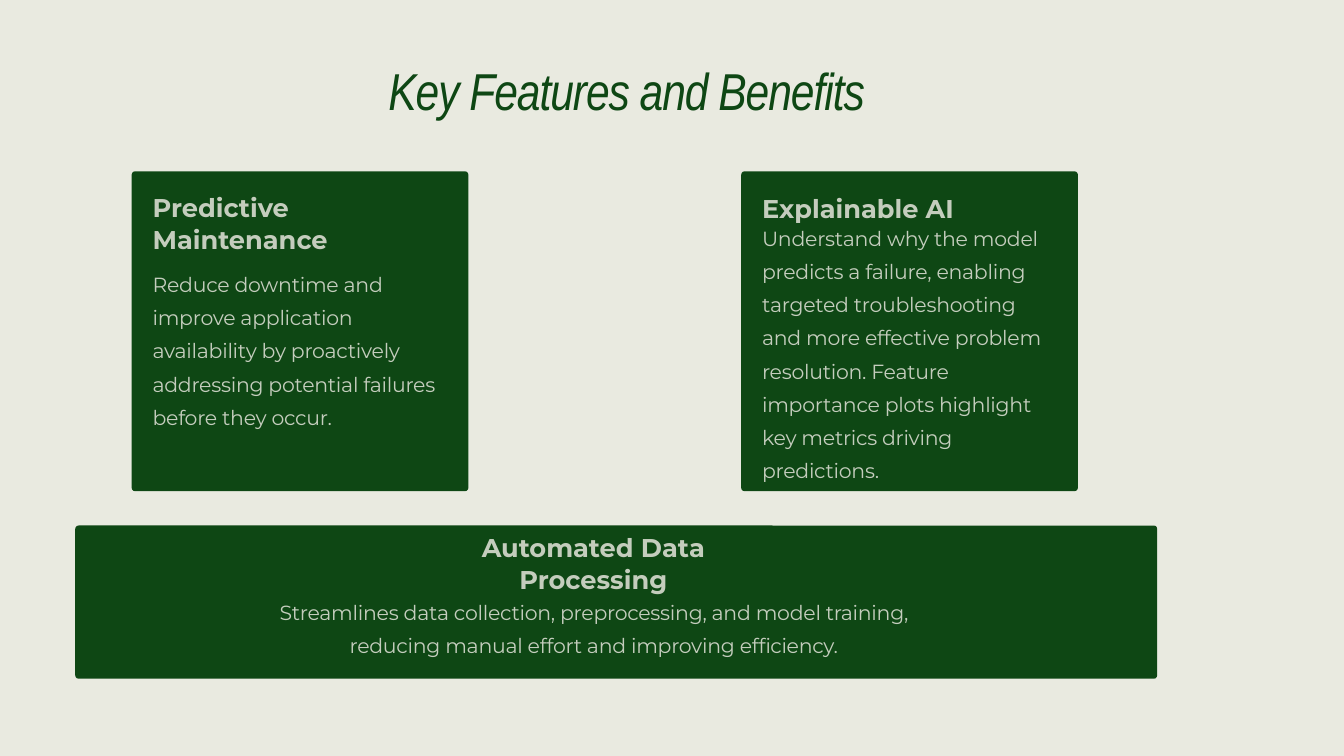
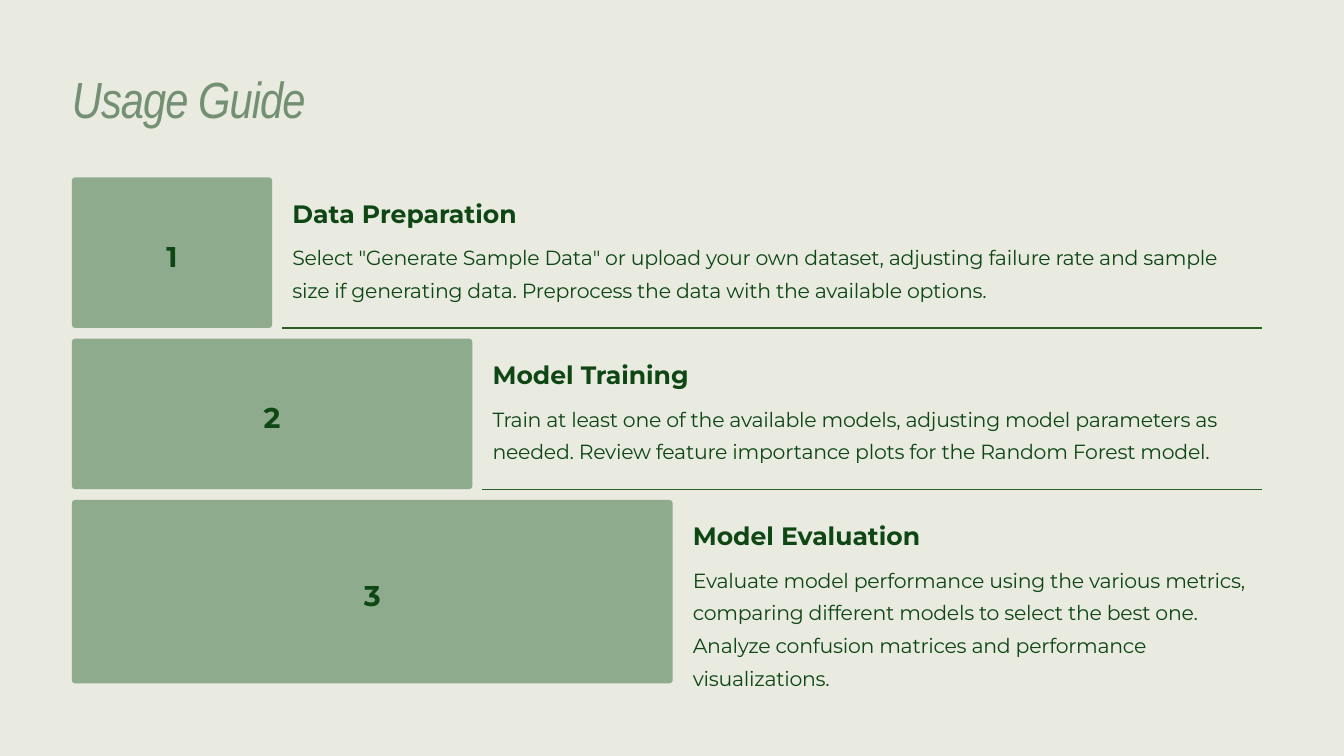
from pptx import Presentation
from pptx import util as u
from pptx.dml.color import RGBColor
from pptx.enum import shapes, text
from pptx.oxml.ns import qn
from lxml import etree

# Shared look
WIDTH, HEIGHT = 20, 11.25
CREAM = RGBColor(0xE9, 0xEA, 0xE0)
FOREST = RGBColor(0x0E, 0x47, 0x14)
PALE = RGBColor(0xC4, 0xCD, 0xBD)
SAGE = RGBColor(0x8E, 0xAB, 0x8D)
MOSS = RGBColor(0x74, 0x90, 0x73)
RULE = RGBColor(0x2A, 0x5F, 0x2A)
LEFT, CENTER = text.PP_ALIGN.LEFT, text.PP_ALIGN.CENTER
CORNER = 0.05

# Text styles: font, size, line spacing, bold, italic, letter spacing (1/100 pt)
STYLES = {
    "features title": ("Arial Narrow", 55.6, 69.4, False, True, -110),
    "guide title": ("Arial Narrow", 54.4, 68.1, False, True, -100),
    "card heading": ("Montserrat", 27.5, 34.4, True, False, 0),
    "card body": ("Montserrat", 21.9, 35.6, False, False, -30),
    "step number": ("Montserrat", 30.6, 48.7, True, False, 0),
    "step heading": ("Montserrat", 26.9, 33.7, True, False, 0),
    "step body": ("Montserrat", 21.9, 35, False, False, -30),
}

# Features: card box, then (text, box) for heading and body, and alignment
FEATURES = [
    ((1.96, 2.55, 5.01, 4.76),
     ("Predictive Maintenance", (2.27, 2.83, 4.39, 1.07)),
     ("Reduce downtime and improve application availability by proactively "
      "addressing potential failures before they occur.",
      (2.27, 3.92, 4.39, 2.56)), LEFT),
    ((11.03, 2.55, 5.01, 4.76),
     ("Explainable AI", (11.34, 2.85, 3.88, 0.6)),
     ("Understand why the model predicts a failure, enabling targeted "
      "troubleshooting and more effective problem resolution. Feature "
      "importance plots highlight key metrics driving predictions.",
      (11.34, 3.23, 4.39, 3.97)), LEFT),
    ((1.12, 7.82, 16.1, 2.28),
     ("Automated Data Processing", (6.25, 7.89, 5.16, 1.07)),
     ("Streamlines data collection, preprocessing, and model training, "
      "reducing manual effort and improving efficiency.",
      (3.98, 8.8, 9.71, 1.07)), CENTER),
]

# Steps: heading, body, bar height
STEPS = [
    ("Data Preparation",
     'Select "Generate Sample Data" or upload your own dataset, adjusting '
     "failure rate and sample size if generating data. Preprocess the data "
     "with the available options.", 2.24),
    ("Model Training",
     "Train at least one of the available models, adjusting model parameters "
     "as needed. Review feature importance plots for the Random Forest model.",
     2.24),
    ("Model Evaluation",
     "Evaluate model performance using the various metrics, comparing "
     "different models to select the best one. Analyze confusion matrices and "
     "performance visualizations.", 2.73),
]
STEP_LEFT, STEP_TOP, STEP_RIGHT = 1.07, 2.64, 18.78
STEP_WIDTH, STEP_PITCH, STEP_GAP = 2.98, 2.4, 0.15
NUMBER_WIDTH, NUMBER_HEIGHT = 0.43, 0.75


def inches(*lengths):
    return [u.Inches(length) for length in lengths]


def write(shape, words, style, color, align=LEFT):
    font_name, size, line, bold, italic, spacing = STYLES[style]
    frame = shape.text_frame
    frame.word_wrap = True
    frame.auto_size = text.MSO_AUTO_SIZE.NONE
    frame.vertical_anchor = text.MSO_ANCHOR.TOP
    frame.margin_left = frame.margin_right = 0
    frame.margin_top = frame.margin_bottom = 0
    frame.text = words
    paragraph = frame.paragraphs[0]
    paragraph.alignment = align
    paragraph.line_spacing = u.Pt(line)
    font = paragraph.font
    font.name, font.size = font_name, u.Pt(size)
    font.bold, font.italic = bold, italic
    font.color.rgb = color
    if spacing:
        paragraph._p.pPr.find(qn("a:defRPr")).set("spc", str(spacing))


def add_text(slide, box, words, style, color, align=LEFT):
    write(slide.shapes.add_textbox(*inches(*box)), words, style, color, align)


def add_panel(slide, box, color):
    panel = slide.shapes.add_shape(
        shapes.MSO_SHAPE.ROUNDED_RECTANGLE, *inches(*box))
    panel.adjustments[0] = CORNER / min(box[2:])
    panel.shadow.inherit = False
    panel.fill.solid()
    panel.fill.fore_color.rgb = color
    panel.line.fill.background()


def add_rule(slide, start, end, y):
    rule = slide.shapes.add_connector(
        shapes.MSO_CONNECTOR.STRAIGHT, *inches(start, y, end, y))
    rule.line.color.rgb = RULE
    rule.line.width = u.Pt(1.25)
    etree.SubElement(rule._element.spPr, qn("a:effectLst"))


def add_slide(presentation, title, box, style, color, align=LEFT):
    slide = presentation.slides.add_slide(presentation.slide_layouts[5])
    shape = slide.shapes.title
    shape.left, shape.top, shape.width, shape.height = inches(*box)
    write(shape, title, style, color, align)
    return slide


def build_features(presentation):
    slide = add_slide(presentation, "Key Features and Benefits",
                      (4.47, 0.84, 9.71, 1.2), "features title", FOREST, CENTER)
    for card, (heading, heading_box), (body, body_box), align in FEATURES:
        add_panel(slide, card, FOREST)
        add_text(slide, heading_box, heading, "card heading", PALE, align)
        add_text(slide, body_box, body, "card body", PALE, align)


def build_guide(presentation):
    slide = add_slide(presentation, "Usage Guide",
                      (STEP_LEFT, 0.97, 7.62, 1.17), "guide title", MOSS)
    for number, (heading, body, height) in enumerate(STEPS, start=1):
        # Each bar is one step wider than the bar above it
        top = STEP_TOP + (number - 1) * STEP_PITCH
        width = number * STEP_WIDTH
        right = STEP_LEFT + width
        text_left = right + 2 * STEP_GAP
        text_width = STEP_RIGHT - STEP_GAP - text_left
        add_panel(slide, (STEP_LEFT, top, width, height), SAGE)
        add_text(slide, (STEP_LEFT + (width - NUMBER_WIDTH) / 2,
                         top + (height - NUMBER_HEIGHT) / 2,
                         NUMBER_WIDTH, NUMBER_HEIGHT),
                 str(number), "step number", FOREST, CENTER)
        add_text(slide, (text_left, top + 0.29, 3.81, 0.59),
                 heading, "step heading", FOREST)
        add_text(slide, (text_left, top + 0.89, text_width, height - 1),
                 body, "step body", FOREST)
        if number < len(STEPS):
            add_rule(slide, right + STEP_GAP, STEP_RIGHT, top + height)


def main():
    presentation = Presentation()
    presentation.slide_width, presentation.slide_height = inches(WIDTH, HEIGHT)
    background = presentation.slide_master.background.fill
    background.solid()
    background.fore_color.rgb = CREAM
    build_features(presentation)
    build_guide(presentation)
    presentation.save("out.pptx")


if __name__ == "__main__":
    main()
